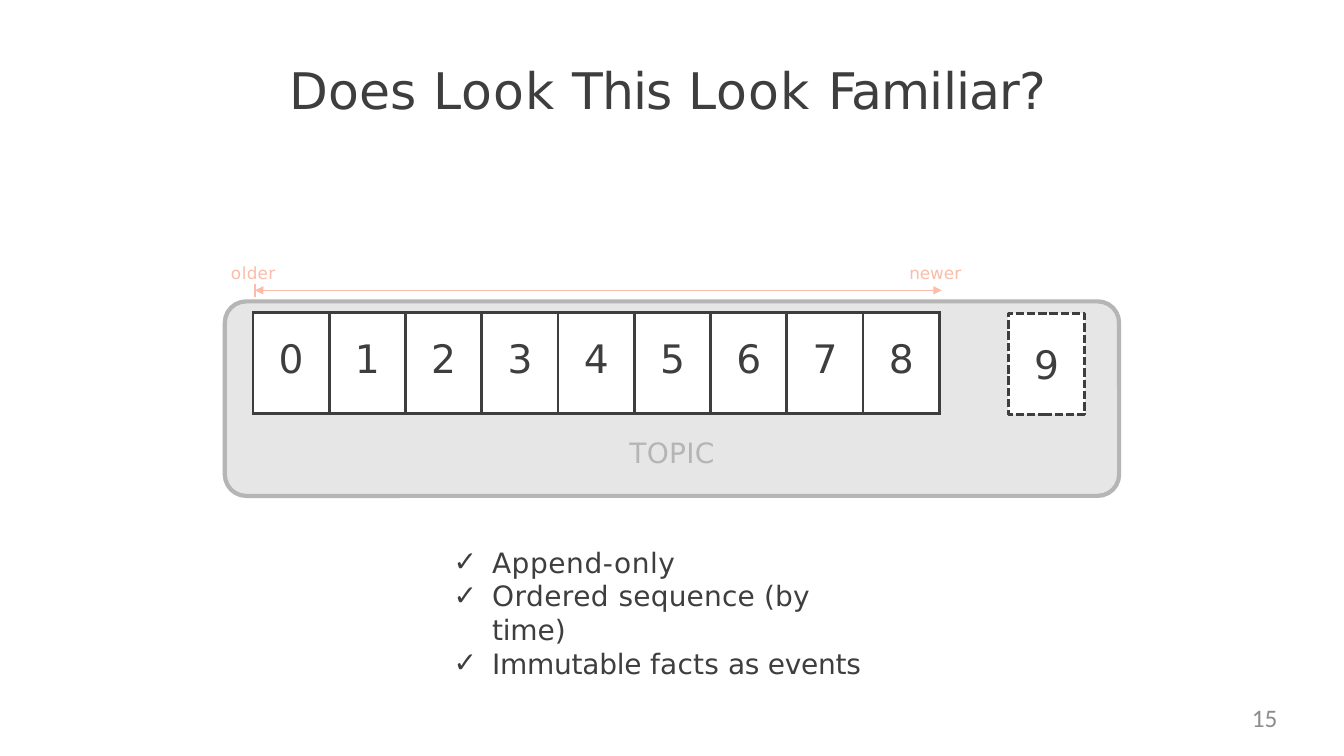
from lxml import etree
from pptx import Presentation, util as u
from pptx.dml.color import RGBColor
from pptx.enum import dml, shapes, text
from pptx.oxml import ns

INK = RGBColor(0x3E, 0x3E, 0x3E)
GREY = RGBColor(0xB4, 0xB5, 0xB4)
PANEL = RGBColor(0xE6, 0xE6, 0xE6)
PEACH = RGBColor(0xF9, 0xBD, 0xA9)
NUMBER = RGBColor(0x8C, 0x8C, 0x8C)
WHITE = RGBColor(0xFF, 0xFF, 0xFF)
FONT = "DejaVu Sans"
LEFT, CENTER, RIGHT = text.PP_ALIGN.LEFT, text.PP_ALIGN.CENTER, text.PP_ALIGN.RIGHT


def inches(*lengths):
    return [u.Inches(v) for v in lengths]


def sub(parent, tag, **attrs):
    return etree.SubElement(parent, ns.qn(tag), {k: str(v) for k, v in attrs.items()})


def add_runs(p, runs, size, color, font=FONT, align=LEFT):
    """Each run is a pair of wording and letter spacing in points."""
    p.alignment = align
    for wording, spacing in runs:
        r = p.add_run()
        r.text = wording
        r.font.size = u.Pt(size)
        r.font.name = font
        r.font.color.rgb = color
        if spacing:
            r.font._element.set("spc", str(round(spacing * 100)))


def set_margins(tf, top=0):
    tf.margin_left = tf.margin_right = tf.margin_bottom = 0
    tf.margin_top = u.Inches(top)
    tf.word_wrap = True


def add_label(s, box, runs, size, color, font=FONT, align=LEFT, top=0.02):
    tf = s.shapes.add_textbox(*inches(*box)).text_frame
    set_margins(tf, top)
    add_runs(tf.paragraphs[0], runs, size, color, font, align)


def add_box(s, kind, box, fill, line, width):
    sp = s.shapes.add_shape(kind, *inches(*box))
    sp.shadow.inherit = False
    sp.fill.solid()
    sp.fill.fore_color.rgb = fill
    sp.line.color.rgb = line
    sp.line.width = u.Pt(width)
    return sp


def add_line(s, ends, width, arrows=False):
    c = s.shapes.add_connector(shapes.MSO_CONNECTOR.STRAIGHT, *inches(*ends))
    c.line.color.rgb = PEACH
    c.line.width = u.Pt(width)
    if arrows:
        ln = c.line._get_or_add_ln()
        for tag in ("a:headEnd", "a:tailEnd"):
            sub(ln, tag, type="triangle", w="med", len="med")
    sub(c._element.spPr, "a:effectLst")


def add_time_axis(s, box):
    """Arrow from older to newer, with a tick at the start."""
    x, y, w, h = box
    middle = y + 0.29
    add_line(s, (x, middle, x + w, middle), 1, arrows=True)
    add_line(s, (x, middle - h / 6, x, middle + h / 6), 2)
    older = [("o", 0.6), ("ld", 0.1), ("e", 0.3), ("r", -0.2)]
    newer = [("ne", -0.2), ("w", 0), ("e", 0.2), ("r", -0.2)]
    add_label(s, (x - 0.24, y, 0.6, 0.23), older, 12, PEACH)
    add_label(s, (x + w - 0.32, y, 0.6, 0.23), newer, 12, PEACH)


def add_log(s, box, count):
    """One row of numbered cells."""
    frame = s.shapes.add_table(1, count, *inches(*box))
    tbl = frame.table
    tbl.first_row = tbl.horz_banding = False
    for i in range(count):
        tbl.columns[i].width = u.Inches(box[2] / count)
        cell = tbl.cell(0, i)
        set_margins(cell, 0.25)
        add_runs(cell.text_frame.paragraphs[0], [(str(i), 0)], 28, INK, align=CENTER)
        tcPr = cell._tc.get_or_add_tcPr()
        for side in ("a:lnL", "a:lnR", "a:lnT", "a:lnB"):
            ln = sub(tcPr, side, w=u.Pt(2.25))
            sub(sub(ln, "a:solidFill"), "a:srgbClr", val=INK)
        cell.fill.solid()
        cell.fill.fore_color.rgb = WHITE


def add_topic(s, box):
    """Panel with the log, the next entry and its caption."""
    x, y, w, h = box
    panel = add_box(s, shapes.MSO_SHAPE.ROUNDED_RECTANGLE, box, PANEL, GREY, 3)
    panel.adjustments[0] = 0.11
    add_log(s, (x + 0.28, y + 0.11, 6.81, 1), 9)
    following = add_box(s, shapes.MSO_SHAPE.RECTANGLE,
                        (x + w - 1.1, y + 0.12, 0.76, 1), WHITE, INK, 2)
    following.line.dash_style = dml.MSO_LINE.SQUARE_DOT
    tf = following.text_frame
    set_margins(tf)
    tf.vertical_anchor = text.MSO_ANCHOR.MIDDLE
    add_runs(tf.paragraphs[0], [("9", 0.6)], 28, INK, align=CENTER)
    add_label(s, (x, y + 1.31, w, 0.35), [("TOPIC", 0.2)], 20, GREY, align=CENTER)


def add_checklist(s, box, items):
    tf = s.shapes.add_textbox(*inches(*box)).text_frame
    set_margins(tf)
    for i, runs in enumerate(items):
        p = tf.add_paragraph() if i else tf.paragraphs[0]
        pPr = p._p.get_or_add_pPr()
        pPr.set("marL", str(u.Inches(0.39)))
        pPr.set("indent", str(u.Inches(-0.38)))
        sub(sub(pPr, "a:buClr"), "a:srgbClr", val=INK)
        sub(pPr, "a:buFont", typeface=FONT)
        sub(pPr, "a:buChar", char="✓")
        add_runs(p, runs, 20, INK)


def main():
    prs = Presentation()
    prs.slide_width, prs.slide_height = inches(13.33, 7.5)
    s = prs.slides.add_slide(prs.slide_layouts[6])

    # Title
    title = [("Does ", 0.1), ("Look ", 0.8), ("This ", -0.6), ("Look ", 0.8),
             ("Familiar?", -0.6)]
    add_label(s, (2.87, 0.57, 7.7, 0.63), title, 36, INK)

    # Diagram
    add_topic(s, (2.23, 2.99, 8.87, 1.93))
    add_time_axis(s, (2.53, 2.59, 6.81, 0.4))

    # Properties of the log
    add_checklist(s, (4.49, 5.41, 4.3, 1.3), [
        [("Append-only", 0.4)],
        [("Ordered ", 0.3), ("sequence (by ", 0.1), ("time)", -0.1)],
        [("Immutable ", -0.2), ("facts ", 0.1), ("as ", -0.4), ("events", -0.2)],
    ])

    # Slide number
    add_label(s, (9.6, 6.97, 3.07, 0.38), [("15", 0)], 18, NUMBER, "Calibri", RIGHT, 0)
    prs.save("out.pptx")


if __name__ == "__main__":
    main()
